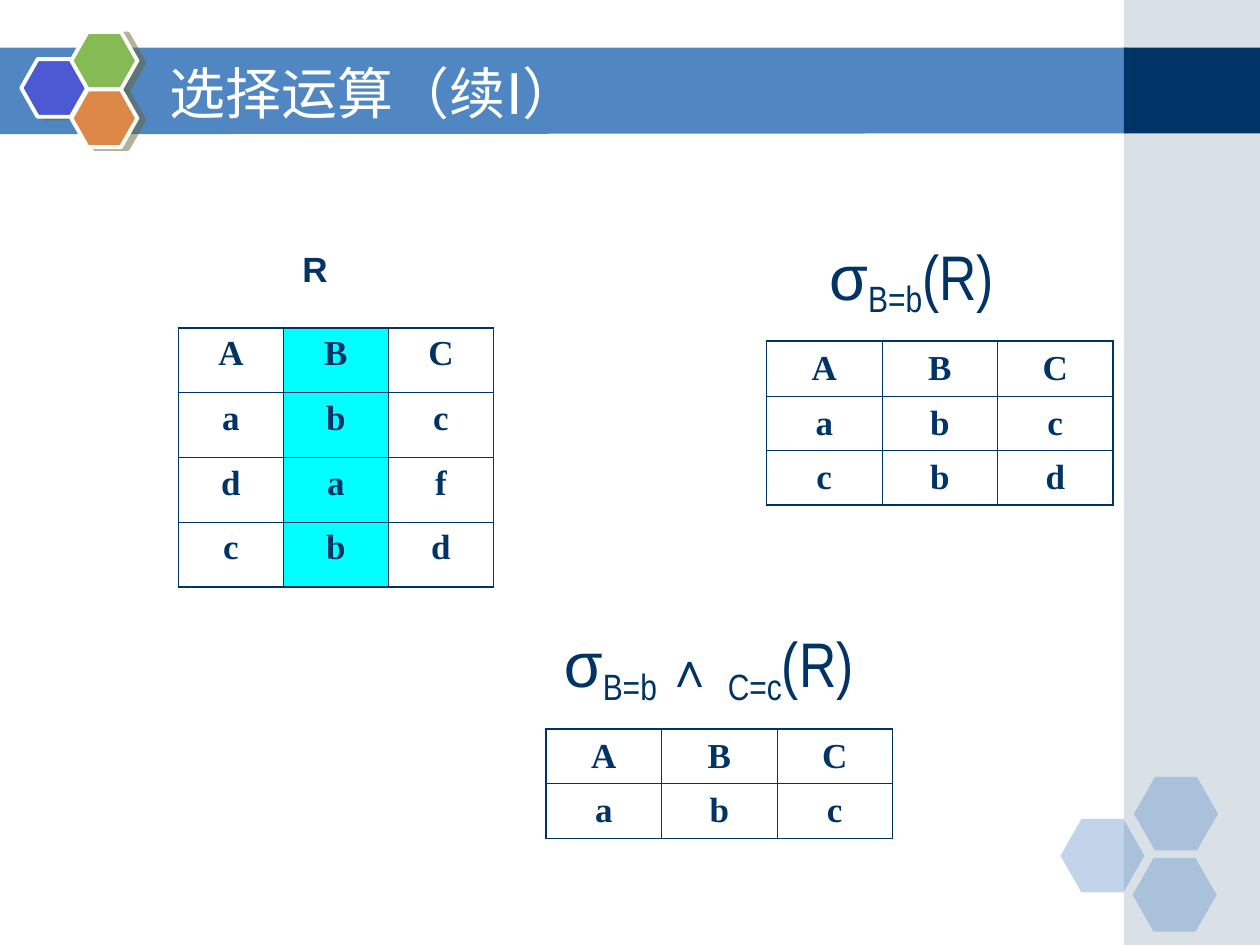
from lxml import etree
from pptx import Presentation
from pptx.dml.color import RGBColor
from pptx.enum import shapes as sh, text as tx
from pptx.oxml import ns
from pptx.util import Pt

NAVY = RGBColor(0x00, 0x33, 0x66)
BLUE = RGBColor(0x50, 0x86, 0xC2)
MIST = RGBColor(0xA0, 0xB5, 0xC4)
INDIGO = RGBColor(0x4C, 0x59, 0xD2)
GREEN = RGBColor(0x85, 0xBA, 0x54)
ORANGE = RGBColor(0xDE, 0x88, 0x48)
SHADE = RGBColor(0x66, 0x66, 0x33)
CYAN = RGBColor(0x00, 0xFF, 0xFF)
WHITE = RGBColor(0xFF, 0xFF, 0xFF)

THICK, THIN = 1.08, 0.45


def sub(node, tag, **attrs):
    return etree.SubElement(node, ns.qn(tag), attrs)


def paint(shape, color, alpha=None):
    """Flat fill without line or shadow; alpha is a percentage."""
    shape.shadow.inherit = False
    shape.fill.solid()
    shape.fill.fore_color.rgb = color
    shape.line.fill.background()
    if alpha:
        clr = shape.fill._xPr.find(".//" + ns.qn("a:srgbClr"))
        sub(clr, "a:alpha", val=str(alpha * 1000))


def block(slide, kind, x, y, w, h, color, alpha=None):
    shape = slide.shapes.add_shape(kind, Pt(x), Pt(y), Pt(w), Pt(h))
    paint(shape, color, alpha)
    return shape


def cast(shape):
    """Hard shadow to the right of a shape."""
    box = shape._element.spPr.find(ns.qn("a:effectLst"))
    drop = sub(box, "a:outerShdw", blurRad="0", dist=str(Pt(4.1)),
               dir=str(14 * 60000), algn="ctr", rotWithShape="0")
    clr = sub(drop, "a:srgbClr", val=str(SHADE))
    sub(clr, "a:alpha", val="50000")


def banner(slide, x, y, w, h):
    pen = slide.shapes.build_freeform(Pt(x), Pt(y))
    pen.add_line_segments([(Pt(x + w), Pt(y)), (Pt(x + w), Pt(y + h - 0.5)),
                           (Pt(x), Pt(y + h))], close=True)
    paint(pen.convert_to_shape(), BLUE)


def side(slide, x, y, w, h):
    rect = sh.MSO_SHAPE.RECTANGLE
    block(slide, rect, x, y, w, h, MIST, 40)
    block(slide, rect, x, y + 27.2, w, 49.1, NAVY)


def corner(slide, x, y):
    for dx, dy in ((0, 24), (42, 0), (41.2, 46.4)):
        hexa = block(slide, sh.MSO_SHAPE.HEXAGON, x + dx, y + dy,
                     48, 42, BLUE, 35)
        hexa.adjustments[0] = 0.286


def emblem(slide, x, y):
    for dx, dy, color in ((0, 15.6, INDIGO), (28.6, 0, GREEN),
                          (28.6, 32.9, ORANGE)):
        hexa = block(slide, sh.MSO_SHAPE.HEXAGON, x + dx, y + dy,
                     37.7, 33, color)
        hexa.adjustments[0] = 0.283
        hexa.line.color.rgb = WHITE
        hexa.line.width = Pt(2.25)
        cast(hexa)


def label(slide, x, y, w, h, runs, color=NAVY, align=tx.PP_ALIGN.CENTER,
          anchor=tx.MSO_ANCHOR.TOP, bold=False):
    """Text box of one line; each run is (text, font, size, baseline)."""
    frame = slide.shapes.add_textbox(Pt(x), Pt(y), Pt(w), Pt(h)).text_frame
    frame.word_wrap = True
    frame.vertical_anchor = anchor
    para = frame.paragraphs[0]
    para.alignment = align
    for words, face, size, base in runs:
        run = para.add_run()
        run.text = words
        font = run.font
        font.name, font.size, font.bold = face, Pt(size), bold
        font.color.rgb = color
        if base:
            run._r.get_or_add_rPr().set("baseline", str(base * 1000))


def sigma(slide, x, y, w, cond):
    """Selection formula; cond lists the runs of its subscript."""
    runs = [("σ", "Arial", 36, 0), *cond, ("(R) ", "Arial Narrow", 36, 0)]
    label(slide, x, y, w, 54.7, runs)


def under(words):
    return words, "Arial Narrow", 36, -20


def edge(cell, side, width):
    line = sub(cell._tc.get_or_add_tcPr(), "a:ln" + side, w=str(Pt(width)))
    clr = sub(sub(line, "a:solidFill"), "a:srgbClr")
    clr.set("val", str(NAVY))


def relation(slide, x, y, w, high, rows, anchor=tx.MSO_ANCHOR.MIDDLE,
             mark=None):
    """Grid of letters, one string a row; mark is the tinted column."""
    last, end = len(rows) - 1, len(rows[0]) - 1
    frame = slide.shapes.add_table(last + 1, end + 1, Pt(x), Pt(y),
                                   Pt(w), Pt(high * len(rows)))
    table = frame.table
    table.first_row = table.horz_banding = False
    for col in table.columns:
        col.width = Pt(w / (end + 1))
    for i, row in enumerate(rows):
        table.rows[i].height = Pt(high)
        for j, letter in enumerate(row):
            cell = table.cell(i, j)
            outer = {"L": j == 0, "R": j == end, "T": i == 0, "B": i == last}
            for name, rim in outer.items():
                edge(cell, name, THICK if rim else THIN)
            if j == mark:
                cell.fill.solid()
                cell.fill.fore_color.rgb = CYAN
            else:
                cell.fill.background()
            cell.vertical_anchor = anchor
            cell.text_frame.text = letter
            para = cell.text_frame.paragraphs[0]
            para.alignment = tx.PP_ALIGN.CENTER
            font = para.runs[0].font
            font.name, font.size, font.bold = "Times New Roman", Pt(20), True
            font.color.rgb = NAVY


def main():
    deck = Presentation()
    deck.slide_width, deck.slide_height = Pt(720), Pt(540)
    slide = deck.slides.add_slide(deck.slide_layouts[6])

    banner(slide, -0.7, 27.2, 645, 49.5)
    side(slide, 642.2, 0, 77.8, 540)
    corner(slide, 606, 444)
    emblem(slide, 12.2, 18.2)
    label(slide, 90, 30, 528, 45, [("选择运算（续I）", "DejaVu Sans", 32, 0)],
          WHITE, tx.PP_ALIGN.LEFT, tx.MSO_ANCHOR.MIDDLE)

    sigma(slide, 462, 132, 126, [under("B=b")])
    relation(slide, 438, 195, 198, 31.2, ["ABC", "abc", "cbd"])

    sigma(slide, 312, 353.5, 186,
          [under("B=b "), ("∧ ", "Arial", 28, 0), under("C=c")])
    relation(slide, 312, 416.6, 198, 31.2, ["ABC", "abc"])

    relation(slide, 102, 187.4, 180, 37, ["ABC", "abc", "daf", "cbd"],
             tx.MSO_ANCHOR.TOP, mark=1)
    label(slide, 138, 138, 84, 31.5, [("R", "Arial", 20, 0)], bold=True)

    deck.save("out.pptx")


if __name__ == "__main__":
    main()
